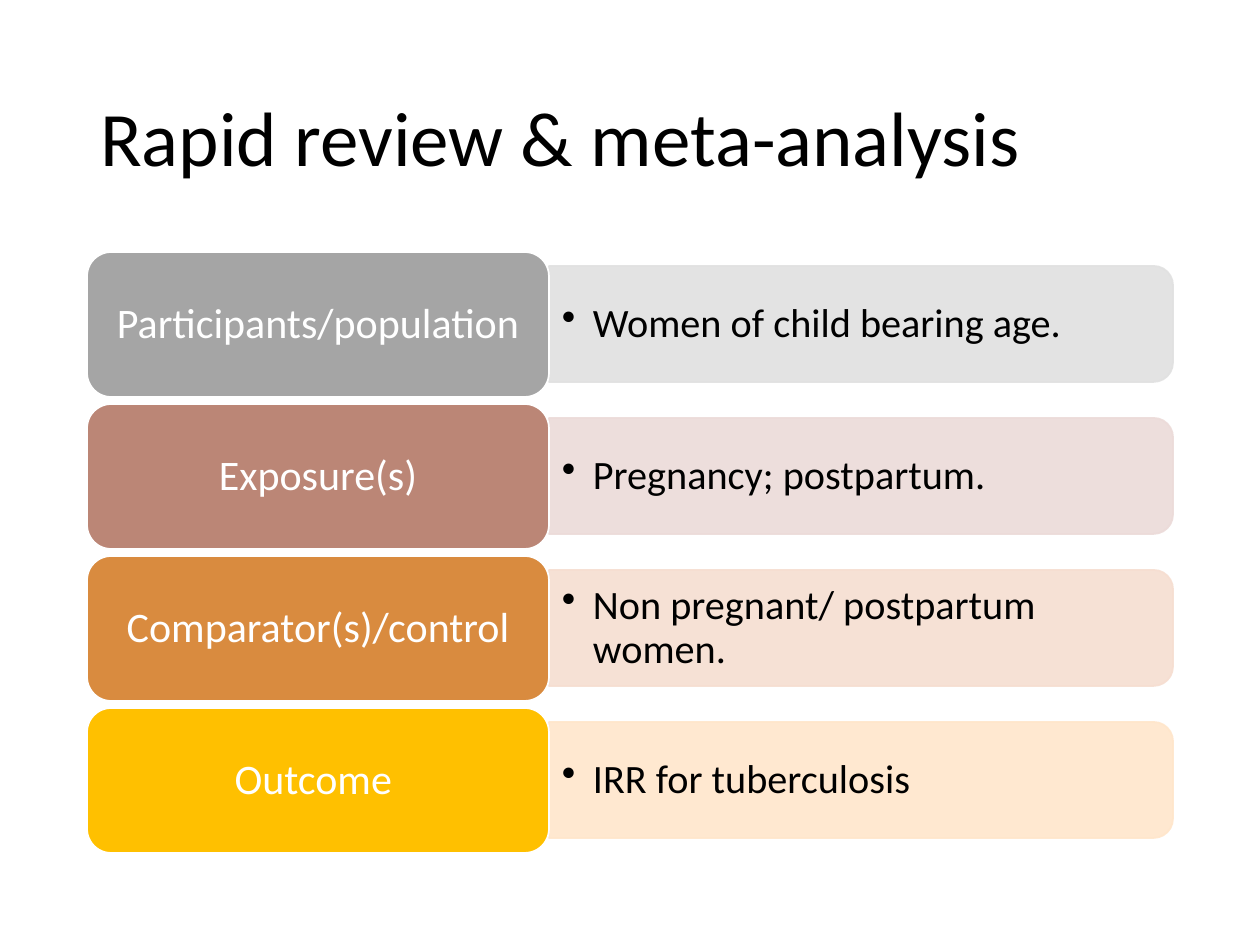
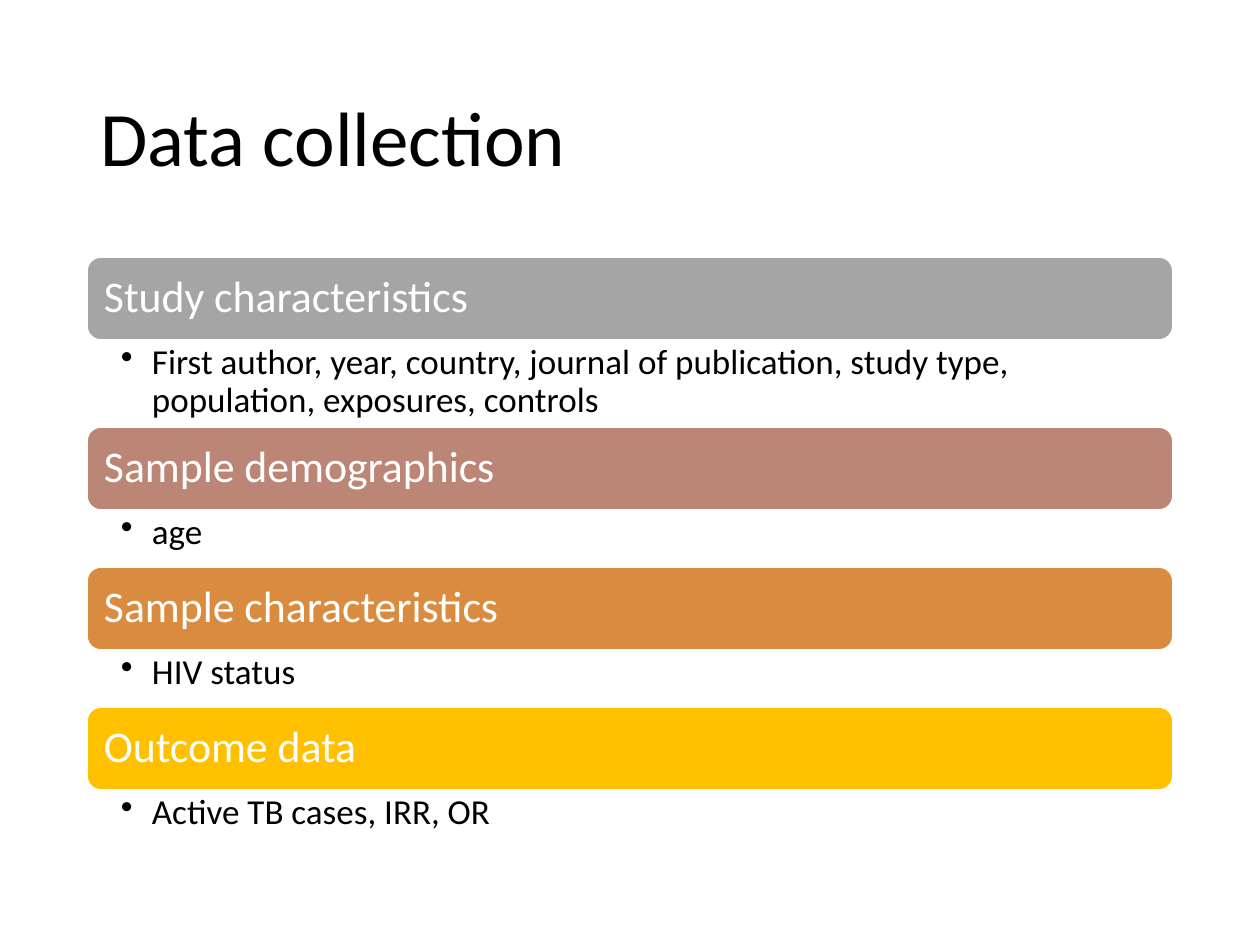
from dataclasses import dataclass

from lxml import etree
from pptx import Presentation
from pptx.dml.color import RGBColor
from pptx.enum.shapes import MSO_SHAPE
from pptx.enum.text import MSO_ANCHOR, MSO_AUTO_SIZE, PP_ALIGN
from pptx.oxml.ns import qn
from pptx.util import Emu, Pt

PX_PER_INCH = 126
FONT = "Calibri"
LEFT, CENTER = PP_ALIGN.LEFT, PP_ALIGN.CENTER
TOP, MIDDLE = MSO_ANCHOR.TOP, MSO_ANCHOR.MIDDLE
ROUND_RECT = MSO_SHAPE.ROUNDED_RECTANGLE
ROUND_TOP = MSO_SHAPE.ROUND_2_SAME_RECTANGLE
NO_AUTOFIT = MSO_AUTO_SIZE.NONE

BLACK = RGBColor(0x00, 0x00, 0x00)
WHITE = RGBColor(0xFF, 0xFF, 0xFF)
ROW_COLORS = (
    RGBColor(0xA5, 0xA5, 0xA5),
    RGBColor(0xBB, 0x86, 0x76),
    RGBColor(0xD9, 0x8B, 0x3F),
    RGBColor(0xFF, 0xC0, 0x00),
)
ROW_TINTS = (
    RGBColor(0xE1, 0xE1, 0xE1),
    RGBColor(0xEC, 0xDB, 0xD9),
    RGBColor(0xF6, 0xDE, 0xD1),
    RGBColor(0xFF, 0xE6, 0xCB),
)
TINT_OPACITY = 90

CONTENT_LEFT, CONTENT_WIDTH = 87, 1086
BULLET_INDENT = 31


@dataclass(frozen=True)
class Box:
    left: int
    top: int
    width: int
    height: int


@dataclass(frozen=True)
class TextStyle:
    size: int
    color: RGBColor
    align: PP_ALIGN = LEFT
    anchor: MSO_ANCHOR = MIDDLE
    insets: tuple[int, int, int, int] = (13, 6, 13, 6)  # left, top, right, bottom
    bullet: bool = False


@dataclass(frozen=True)
class Topic:
    heading: str
    detail: str
    detail_height: int = 57


TITLE_BOX = Box(CONTENT_LEFT, 50, CONTENT_WIDTH, 183)
TITLE_STYLE = TextStyle(44, BLACK)
CRITERION_STYLE = TextStyle(24, WHITE, align=CENTER, insets=(0, 0, 0, 0))
ANSWER_STYLE = TextStyle(23, BLACK, bullet=True)
HEADING_STYLE = TextStyle(25, WHITE, insets=(13, 13, 13, 13))
DETAIL_STYLE = TextStyle(20, BLACK, anchor=TOP, insets=(34, 4, 24, 4), bullet=True)

REVIEW_CRITERIA = (
    Topic("Participants/population", "Women of child bearing age."),
    Topic("Exposure(s)", "Pregnancy; postpartum."),
    Topic("Comparator(s)/control", "Non pregnant/ postpartum women."),
    Topic("Outcome ", "IRR for tuberculosis"),
)
COLLECTED_DATA = (
    Topic(
        "Study characteristics",
        "First author, year, country, journal of publication, study type, "
        "population, exposures, controls",
        detail_height=87,
    ),
    Topic("Sample demographics", "age"),
    Topic("Sample characteristics", "HIV status"),
    Topic("Outcome data", "Active TB cases, IRR, OR"),
)


def px(length: int) -> Emu:
    return Emu(round(length * 914400 / PX_PER_INCH))


def extent(box: Box) -> tuple[Emu, Emu, Emu, Emu]:
    return px(box.left), px(box.top), px(box.width), px(box.height)


def write(shape, text: str, style: TextStyle) -> None:
    frame = shape.text_frame
    frame.word_wrap = True
    frame.auto_size = NO_AUTOFIT
    frame.vertical_anchor = style.anchor
    (frame.margin_left, frame.margin_top,
     frame.margin_right, frame.margin_bottom) = map(px, style.insets)
    paragraph = frame.paragraphs[0]
    paragraph.alignment = style.align
    paragraph.line_spacing = 0.9
    if style.bullet:
        paragraph.level = 1
        properties = paragraph._p.get_or_add_pPr()
        properties.set("marL", str(px(BULLET_INDENT)))
        properties.set("indent", str(-px(BULLET_INDENT)))
        etree.SubElement(properties, qn("a:buChar")).set("char", "•")
    run = paragraph.add_run()
    run.text = text
    run.font.name = FONT
    run.font.size = Pt(style.size)
    run.font.color.rgb = style.color


def add_filled(slide, kind: MSO_SHAPE, box: Box, fill: RGBColor, line: RGBColor):
    shape = slide.shapes.add_shape(kind, *extent(box))
    shape.shadow.inherit = False
    shape.fill.solid()
    shape.fill.fore_color.rgb = fill
    shape.line.color.rgb = line
    shape.line.width = Pt(1)
    return shape


def add_text(slide, box: Box, text: str, style: TextStyle) -> None:
    write(slide.shapes.add_textbox(*extent(box)), text, style)


def add_tint_band(slide, box: Box, tint: RGBColor) -> None:
    """Draw a band whose rounded end faces right, by turning a round-topped shape."""
    upright = Box(
        box.left + (box.width - box.height) // 2,
        box.top - (box.width - box.height) // 2,
        box.height,
        box.width,
    )
    band = add_filled(slide, ROUND_TOP, upright, tint, tint)
    band.rotation = 90
    for color in band._element.spPr.iter(qn("a:srgbClr")):
        etree.SubElement(color, qn("a:alpha")).set("val", str(TINT_OPACITY * 1000))


def add_titled_slide(deck, title: str):
    slide = deck.slides.add_slide(deck.slide_layouts[5])
    heading = slide.shapes.title
    heading.left, heading.top, heading.width, heading.height = extent(TITLE_BOX)
    write(heading, title, TITLE_STYLE)
    return slide


def build_review_slide(deck) -> None:
    slide = add_titled_slide(deck, "Rapid review & meta-analysis")
    first_top, pitch = 252, 152
    label_width, label_height = 462, 145
    band_height, answer_height = 116, 105
    answer_left = CONTENT_LEFT + label_width
    band_width = CONTENT_WIDTH - label_width
    for row, (topic, color, tint) in enumerate(
        zip(REVIEW_CRITERIA, ROW_COLORS, ROW_TINTS)
    ):
        top = first_top + row * pitch
        band_top = top + (label_height - band_height) // 2
        answer_top = top + (label_height - answer_height) // 2
        add_tint_band(slide, Box(answer_left, band_top, band_width, band_height), tint)
        add_text(slide, Box(answer_left, answer_top, band_width - 6, answer_height),
                 topic.detail, ANSWER_STYLE)
        label = add_filled(slide, ROUND_RECT,
                           Box(CONTENT_LEFT, top, label_width, label_height),
                           color, WHITE)
        write(label, topic.heading, CRITERION_STYLE)


def build_data_slide(deck) -> None:
    slide = add_titled_slide(deck, "Data collection")
    top, bar_height = 257, 83
    for topic, color in zip(COLLECTED_DATA, ROW_COLORS):
        bar = add_filled(slide, ROUND_RECT,
                         Box(CONTENT_LEFT, top, CONTENT_WIDTH, bar_height),
                         color, WHITE)
        write(bar, topic.heading, HEADING_STYLE)
        top += bar_height
        add_text(slide, Box(CONTENT_LEFT, top, CONTENT_WIDTH, topic.detail_height),
                 topic.detail, DETAIL_STYLE)
        top += topic.detail_height


def main() -> None:
    deck = Presentation()
    deck.slide_width, deck.slide_height = px(1260), px(945)
    build_review_slide(deck)
    build_data_slide(deck)
    deck.save("out.pptx")


if __name__ == "__main__":
    main()
